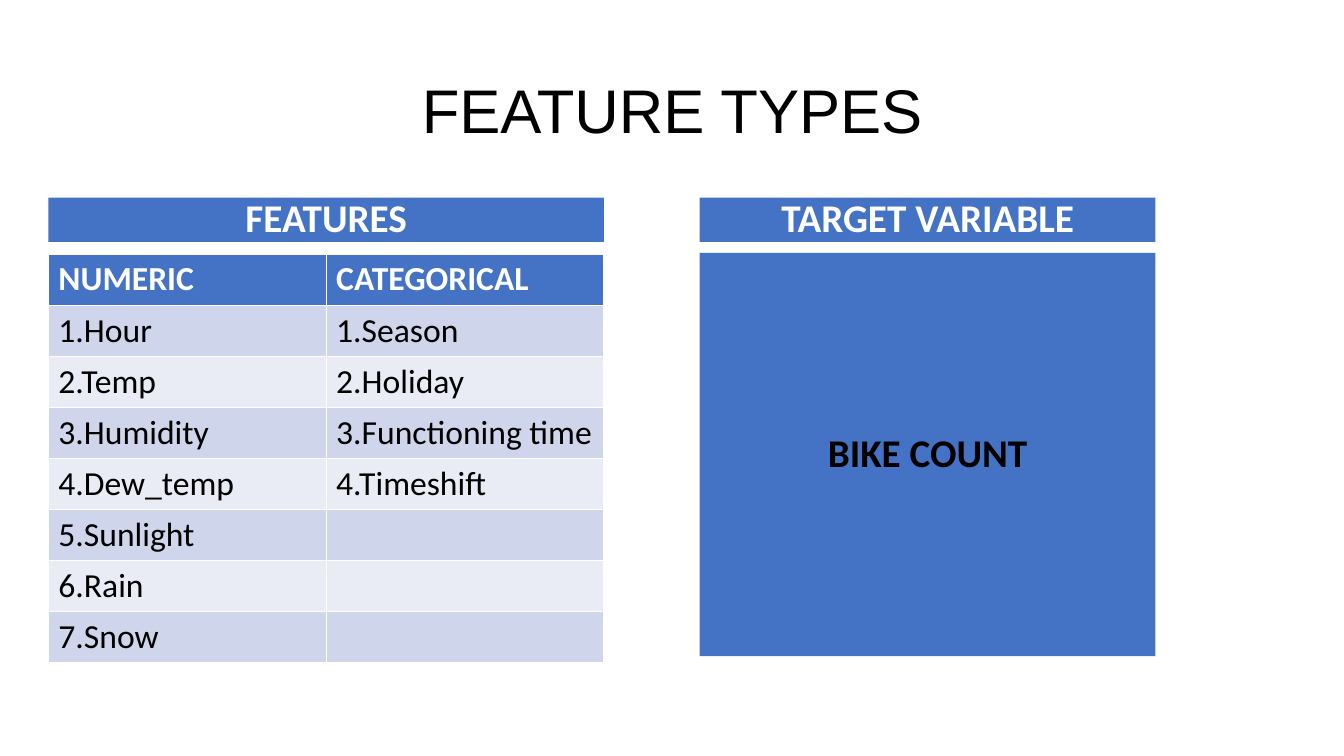
from itertools import zip_longest

from pptx import Presentation
from pptx.dml.color import RGBColor
from pptx.enum.shapes import MSO_SHAPE as Shape
from pptx.enum.text import MSO_ANCHOR as Anchor, PP_ALIGN as Align
from pptx.util import Inches, Pt

BLUE = RGBColor(0x44, 0x72, 0xC4)
DARK = RGBColor(0xCF, 0xD5, 0xEA)
PALE = RGBColor(0xE9, 0xEB, 0xF5)
WHITE = RGBColor(0xFF, 0xFF, 0xFF)
BLACK = RGBColor(0, 0, 0)

NUMERIC = ["Hour", "Temp", "Humidity", "Dew_temp", "Sunlight", "Rain", "Snow"]
GROUPS = ["Season", "Holiday", "Functioning time", "Timeshift"]


class Board:
    """Holds the slide and its text style."""

    def __init__(self, slide, font="Calibri"):
        self.slide = slide
        self.font = font

    def label(self, frame, text, size, color, bold=False, font=None):
        frame.text = text
        for run in frame.paragraphs[0].runs:
            run.font.name = font or self.font
            run.font.size = Pt(size)
            run.font.bold = bold
            run.font.color.rgb = color

    def center(self, frame):
        frame.word_wrap = True
        frame.vertical_anchor = Anchor.MIDDLE
        frame.paragraphs[0].alignment = Align.CENTER
        frame.paragraphs[0].line_spacing = 0.9

    def title(self, text, left, top, width, height):
        box = self.slide.shapes.title
        box.left, box.top = Inches(left), Inches(top)
        box.width, box.height = Inches(width), Inches(height)
        self.label(box.text_frame, text, 44, BLACK, font="Arial")
        self.center(box.text_frame)

    def block(self, text, left, top, width, height, color=WHITE):
        box = self.slide.shapes.add_shape(
            Shape.RECTANGLE, Inches(left), Inches(top),
            Inches(width), Inches(height))
        box.shadow.inherit = False
        box.fill.solid()
        box.fill.fore_color.rgb = BLUE
        box.line.fill.background()
        self.label(box.text_frame, text, 28, color, bold=True)
        self.center(box.text_frame)

    def table(self, rows, left, top, width, height):
        grid = self.slide.shapes.add_table(
            len(rows), len(rows[0]), Inches(left), Inches(top),
            Inches(width), Inches(height)).table
        for r, row in enumerate(rows):
            head = r == 0
            for c, text in enumerate(row):
                cell = grid.cell(r, c)
                cell.fill.solid()
                cell.fill.fore_color.rgb = BLUE if head else (PALE, DARK)[r % 2]
                self.label(cell.text_frame, text, 24,
                           WHITE if head else BLACK, bold=head)


def number(names):
    return [f"{i}.{name}" for i, name in enumerate(names, 1)]


def main():
    deck = Presentation()
    deck.slide_width, deck.slide_height = Inches(13.33), Inches(7.5)
    board = Board(deck.slides.add_slide(deck.slide_layouts[5]))

    # Title
    board.title("FEATURE TYPES", 0.92, 0.4, 11.5, 1.45)

    # Features
    pairs = zip_longest(number(NUMERIC), number(GROUPS), fillvalue="")
    board.table([("NUMERIC", "CATEGORICAL"), *pairs], 0.48, 2.52, 5.51, 4)
    board.block("FEATURES", 0.48, 1.96, 5.51, 0.44)

    # Target
    board.block("TARGET VARIABLE", 6.94, 1.96, 4.52, 0.44)
    board.block("BIKE COUNT", 6.94, 2.51, 4.52, 4, BLACK)

    deck.save("out.pptx")


if __name__ == "__main__":
    main()
